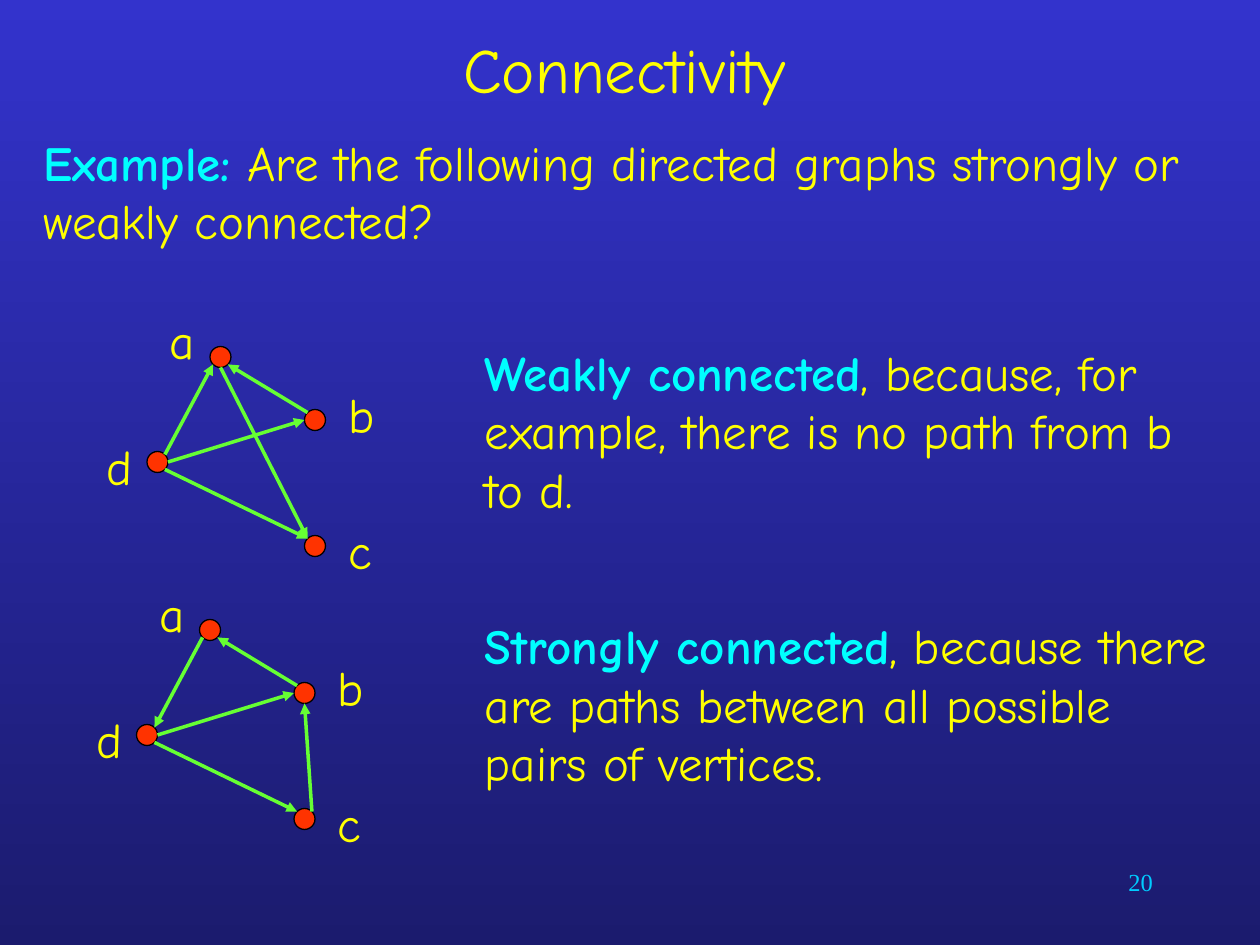
from dataclasses import dataclass
from math import cos, radians, sin
from typing import NamedTuple

from pptx import Presentation
from pptx import util as u
from pptx.dml.color import RGBColor
from pptx.enum import shapes, text
from pptx.oxml.ns import qn
from lxml import etree


@dataclass(frozen=True)
class Theme:
    top: str = "3333CC"
    bottom: str = "1B1B6E"
    body: str = "FFFF00"
    accent: str = "00FFFF"
    node: str = "FF3300"
    outline: str = "000000"
    edge: str = "66FF33"
    number: str = "00CCFF"
    font: str = "Comic Neue"
    number_font: str = "Times New Roman"
    title_size: int = 36
    body_size: int = 28
    number_size: int = 14


class Place(NamedTuple):
    """A column and a row of the grid."""
    column: float
    row: float


class Box(NamedTuple):
    column: float
    row: float
    columns: float
    rows: float


class Run(NamedTuple):
    text: str
    color: str
    bold: bool = False


class Vertex(NamedTuple):
    place: Place
    label: Place


class Edge(NamedTuple):
    """An arrow between two vertices, with the compass angle at each end."""
    start: str
    start_angle: int
    end: str
    end_angle: int


class Graph(NamedTuple):
    offset: Place
    edges: list[Edge]
    verdict: str
    reason: str


THEME = Theme()
CELL = u.Inches(10) // 120  # the slide is 120 columns by 90 rows
NODE = 2  # node diameter in cells
RIGHT, LOWER_RIGHT, BELOW, LOWER_LEFT, LEFT, UPPER_LEFT, UPPER_RIGHT = (
    0, 45, 90, 135, 180, 225, 315)

VERTICES = {
    "a": Vertex(Place(20, 33), Place(15, 29)),
    "b": Vertex(Place(29, 39), Place(32, 36)),
    "c": Vertex(Place(29, 51), Place(32, 49)),
    "d": Vertex(Place(14, 43), Place(9, 41)),
}
SHARED_EDGES = [
    Edge("b", UPPER_LEFT, "a", LOWER_RIGHT),
    Edge("d", RIGHT, "b", LEFT),
    Edge("d", LOWER_RIGHT, "c", UPPER_LEFT),
]
GRAPHS = [
    Graph(Place(0, 0),
          SHARED_EDGES + [Edge("d", UPPER_RIGHT, "a", LOWER_LEFT),
                          Edge("a", BELOW, "c", UPPER_LEFT)],
          "Weakly connected",
          ", because, for example, there is no path from b to d."),
    Graph(Place(-1, 26),
          SHARED_EDGES + [Edge("a", LOWER_LEFT, "d", UPPER_RIGHT),
                          Edge("c", UPPER_RIGHT, "b", BELOW)],
          "Strongly connected",
          ", because there are paths between all possible pairs of vertices."),
]


def cells(count: float) -> u.Emu:
    return u.Emu(round(count * CELL))


def color(value: str) -> RGBColor:
    return RGBColor.from_string(value)


def write(shape, *runs: Run, size: int = THEME.body_size, font: str = THEME.font,
          align=text.PP_ALIGN.LEFT, anchor=text.MSO_ANCHOR.TOP) -> None:
    frame = shape.text_frame
    frame.word_wrap = True
    frame.auto_size = text.MSO_AUTO_SIZE.NONE
    frame.vertical_anchor = anchor
    paragraph = frame.paragraphs[0]
    paragraph.alignment = align
    for item in runs:
        run = paragraph.add_run()
        run.text = item.text
        run.font.name = font
        run.font.size = u.Pt(size)
        run.font.bold = item.bold
        run.font.color.rgb = color(item.color)


def add_text(slide, box: Box, *runs: Run, **style) -> None:
    write(slide.shapes.add_textbox(*map(cells, box)), *runs, **style)


def add_node(slide, place: Place) -> None:
    shape = slide.shapes.add_shape(shapes.MSO_SHAPE.FLOWCHART_CONNECTOR,
                                   *map(cells, (*place, NODE, NODE)))
    shape.shadow.inherit = False
    shape.fill.solid()
    shape.fill.fore_color.rgb = color(THEME.node)
    shape.line.color.rgb = color(THEME.outline)
    shape.line.width = u.Pt(0.75)


def rim(place: Place, angle: int) -> Place:
    """The point of a node's outline at an angle, clockwise from the right."""
    radius = NODE / 2
    return Place(place.column + radius * (1 + cos(radians(angle))),
                 place.row + radius * (1 + sin(radians(angle))))


def add_arrow(slide, start: Place, end: Place) -> None:
    arrow = slide.shapes.add_connector(shapes.MSO_CONNECTOR.STRAIGHT,
                                       *map(cells, (*start, *end)))
    arrow.line.color.rgb = color(THEME.edge)
    arrow.line.width = u.Pt(2)
    etree.SubElement(arrow.line._get_or_add_ln(), qn("a:tailEnd"), type="triangle")
    etree.SubElement(arrow._element.spPr, qn("a:effectLst"))


def add_graph(slide, graph: Graph) -> None:
    def shift(place: Place) -> Place:
        return Place(place.column + graph.offset.column, place.row + graph.offset.row)

    nodes = {name: shift(vertex.place) for name, vertex in VERTICES.items()}
    for name, vertex in VERTICES.items():
        add_node(slide, nodes[name])
        add_text(slide, Box(*shift(vertex.label), 8, 6.8), Run(name, THEME.body))
    for edge in graph.edges:
        add_arrow(slide, rim(nodes[edge.start], edge.start_angle),
                  rim(nodes[edge.end], edge.end_angle))
    add_text(slide, Box(45, 32 + graph.offset.row, 72, 23),
             Run(graph.verdict, THEME.accent, True), Run(graph.reason, THEME.body))


def main() -> None:
    presentation = Presentation()
    presentation.slide_width, presentation.slide_height = cells(120), cells(90)
    slide = presentation.slides.add_slide(presentation.slide_layouts[5])

    # Background, dark at the foot
    fill = slide.background.fill
    fill.gradient()
    fill.gradient_angle = 270
    for stop, position, value in zip(fill.gradient_stops, (0, 1),
                                     (THEME.top, THEME.bottom)):
        stop.position = position
        stop.color.rgb = color(value)

    # Title and question
    title = slide.shapes.title
    title.left, title.top, title.width, title.height = map(cells, Box(3, 0, 113, 13))
    write(title, Run("Connectivity", THEME.body), size=THEME.title_size,
          align=text.PP_ALIGN.CENTER, anchor=text.MSO_ANCHOR.MIDDLE)
    add_text(slide, Box(3, 12, 115, 13), Run("Example:", THEME.accent, True),
             Run(" Are the following directed graphs strongly or weakly connected?",
                 THEME.body))

    # Graphs with their answers
    for graph in GRAPHS:
        add_graph(slide, graph)

    # Slide number
    add_text(slide, Box(86, 82, 25, 6), Run("20", THEME.number),
             size=THEME.number_size, font=THEME.number_font, align=text.PP_ALIGN.RIGHT)

    presentation.save("out.pptx")


if __name__ == "__main__":
    main()
